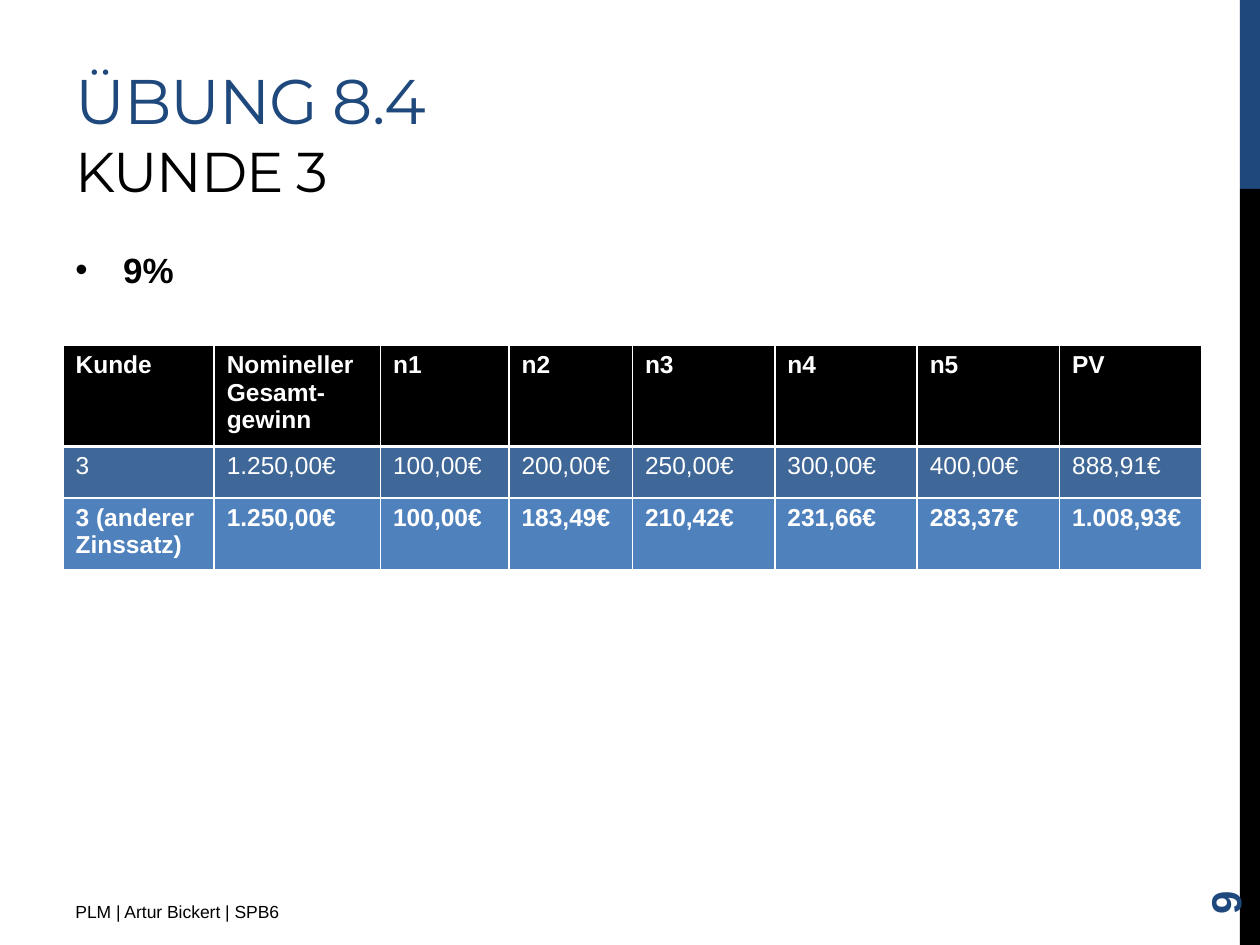
from lxml import etree
from pptx import Presentation
from pptx.dml.color import RGBColor
from pptx.enum.shapes import MSO_SHAPE
from pptx.enum.text import MSO_ANCHOR
from pptx.oxml.ns import qn
from pptx.util import Inches, Pt

RECT = MSO_SHAPE.RECTANGLE
TOP, MID, LOW = MSO_ANCHOR.TOP, MSO_ANCHOR.MIDDLE, MSO_ANCHOR.BOTTOM
NAVY = RGBColor(0x1F, 0x49, 0x7D)
BLACK = RGBColor(0, 0, 0)
WHITE = RGBColor(255, 255, 255)
STEEL = RGBColor(0x3F, 0x67, 0x97)
BLUE = RGBColor(0x4F, 0x81, 0xBD)

COLS = [1.2, 1.32, 1.02, 0.98] + [1.13] * 4
ROWS = [
    (0.75, BLACK, True,
     ["Kunde", "Nomineller Gesamt-gewinn", "n1", "n2", "n3", "n4", "n5", "PV"]),
    (0.41, STEEL, False,
     ["3", "1.250,00€", "100,00€", "200,00€", "250,00€", "300,00€", "400,00€",
      "888,91€"]),
    (0.54, BLUE, True,
     ["3 (anderer Zinssatz)", "1.250,00€", "100,00€", "183,49€", "210,42€",
      "231,66€", "283,37€", "1.008,93€"]),
]


def add_run(para, text, size, color, bold=False, font="Arial"):
    """Append one styled run and return it."""
    run = para.add_run()
    run.text = text
    run.font.name = font
    run.font.size = Pt(size)
    run.font.bold = bold
    run.font.color.rgb = color
    return run


def add_text(slide, box, anchor=TOP):
    """Add a wrapping text box and return it with its first paragraph."""
    shape = slide.shapes.add_textbox(*map(Inches, box))
    frame = shape.text_frame
    frame.word_wrap = True
    frame.vertical_anchor = anchor
    return shape, frame.paragraphs[0]


def add_band(slide, box):
    """Draw the side band, one fifth navy and the rest black."""
    left, top, width, height = box
    cut = height / 5
    for y, tall, color in ((top, cut, NAVY), (top + cut, height - cut, BLACK)):
        bar = slide.shapes.add_shape(RECT, *map(Inches, (left, y, width, tall)))
        bar.shadow.inherit = False
        bar.fill.solid()
        bar.fill.fore_color.rgb = color
        bar.line.fill.background()


def add_title(slide, box):
    """Write the two-line title."""
    para = add_text(slide, box, LOW)[1]
    head = add_run(para, "ÜBUNG 8.4", 36, NAVY, font="Montserrat")
    para.add_line_break()
    sub = add_run(para, "KUNDE 3", 32, BLACK, font="Montserrat")
    for run in (head, sub):
        run.font._element.set("spc", "-60")


def add_body(slide, box):
    """Write the bulleted interest rate."""
    para = add_text(slide, box)[1]
    para.space_before = Pt(2)
    para.space_after = Pt(6)
    props = para._p.get_or_add_pPr()
    props.set("marL", str(Inches(0.38)))
    props.set("indent", str(-Inches(0.38)))
    etree.SubElement(props, qn("a:buFont")).set("typeface", "Arial")
    etree.SubElement(props, qn("a:buChar")).set("char", "•")
    add_run(para, "9%", 20, BLACK, True)


def add_rule(cell):
    """Give a cell a white bottom border."""
    line = etree.Element(qn("a:lnB"), w=str(Pt(2)))
    fill = etree.SubElement(line, qn("a:solidFill"))
    etree.SubElement(fill, qn("a:srgbClr")).set("val", str(WHITE))
    cell._tc.get_or_add_tcPr().insert(0, line)


def add_grid(slide, box):
    """Build the table of customer values."""
    table = slide.shapes.add_table(
        len(ROWS), len(COLS), *map(Inches, box)).table
    for col, width in zip(table.columns, COLS):
        col.width = Inches(width)
    for row, (height, color, bold, texts) in zip(table.rows, ROWS):
        row.height = Inches(height)
        for cell, text in zip(row.cells, texts):
            cell.fill.solid()
            cell.fill.fore_color.rgb = color
            add_run(cell.text_frame.paragraphs[0], text, 14, WHITE, bold)
    for cell in table.rows[0].cells:
        add_rule(cell)


def add_foot(slide, box):
    """Write the footer line."""
    para = add_text(slide, box)[1]
    add_run(para, "PLM | Artur Bickert | SPB6", 10, BLACK)


def add_page(slide, box):
    """Write the turned page number."""
    shape, para = add_text(slide, box, MID)
    shape.rotation = 270
    add_run(para, "9", 24, NAVY, True)


def main():
    """Build and save the slide."""
    deck = Presentation()
    deck.slide_width, deck.slide_height = Inches(10), Inches(7.5)
    slide = deck.slides.add_slide(deck.slide_layouts[6])
    add_band(slide, (9.84, 0, 0.16, 7.5))
    add_title(slide, (0.5, 0.17, 6.33, 1.5))
    add_body(slide, (0.5, 1.92, 8.33, 4.78))
    add_grid(slide, (0.5, 2.74, sum(COLS), sum(row[0] for row in ROWS)))
    add_foot(slide, (0.5, 7.1, 3.75, 0.31))
    add_page(slide, (9, 6.44, 1.44, 0.4))
    deck.save("out.pptx")


if __name__ == "__main__":
    main()
